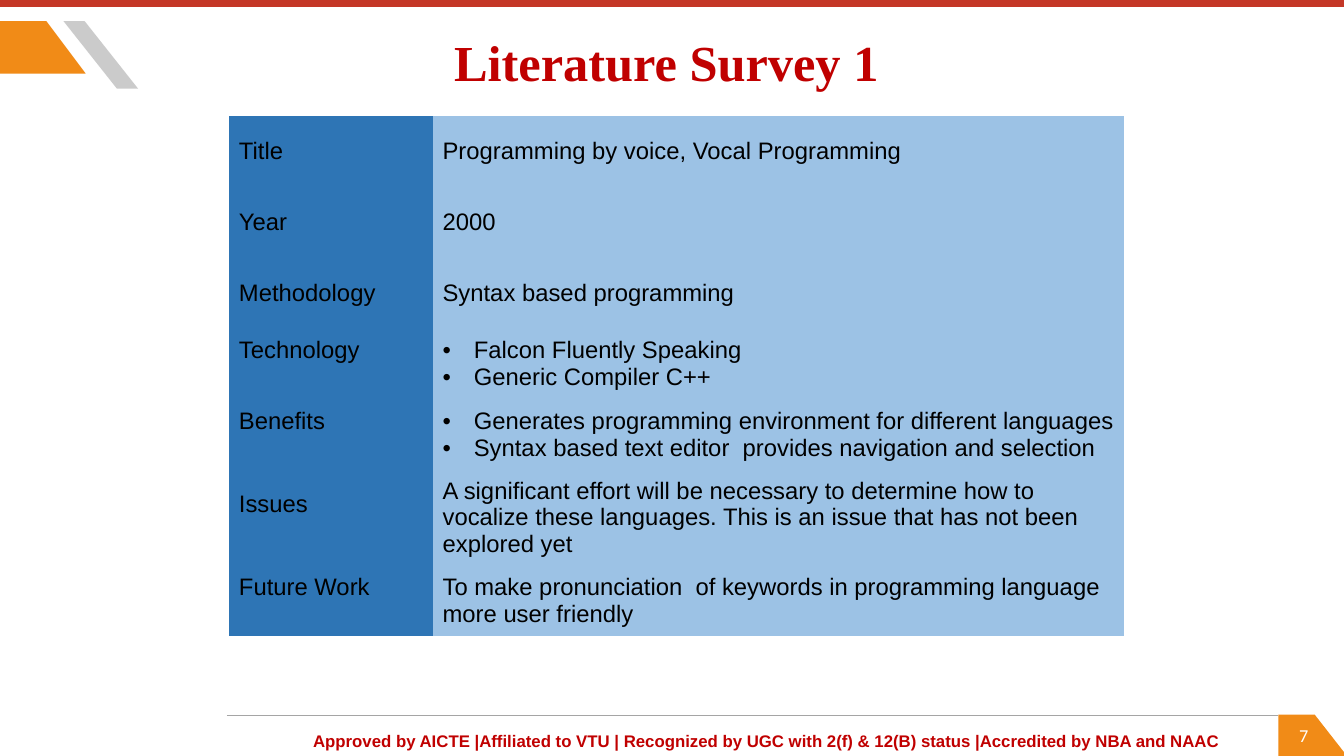
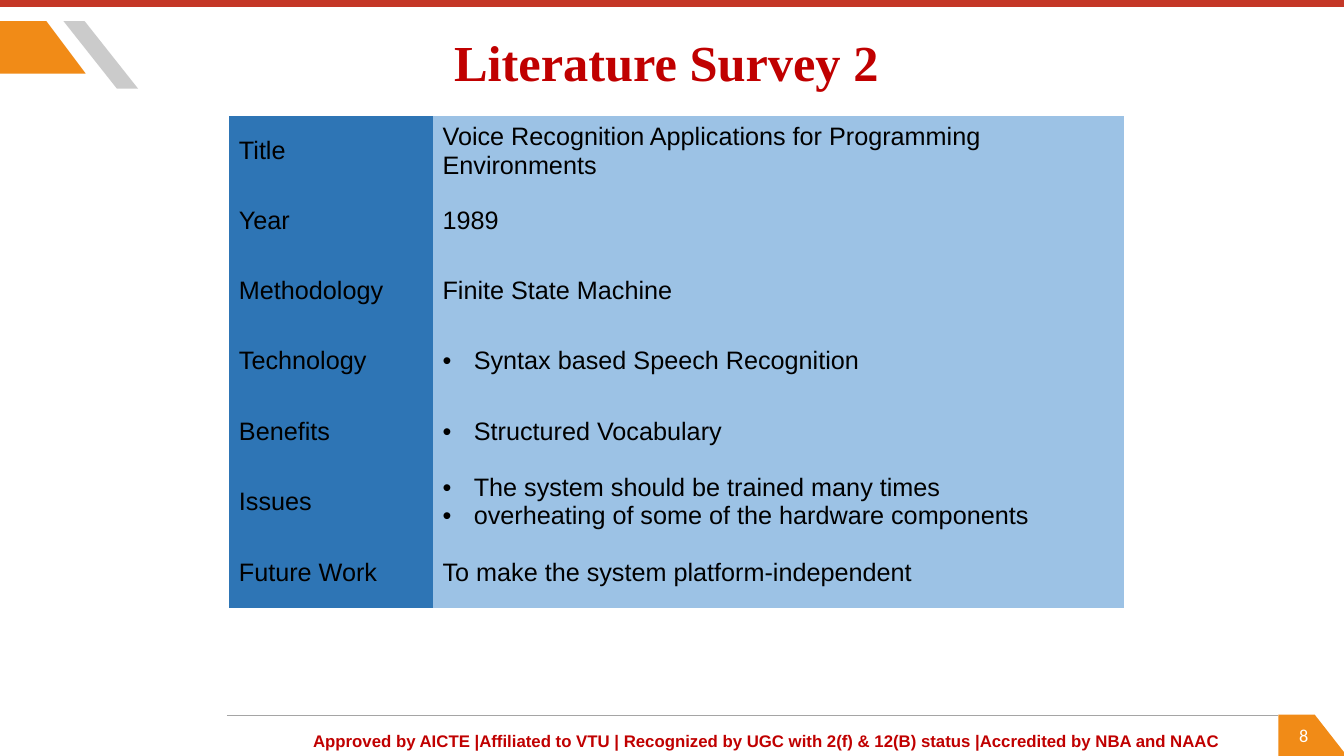
from lxml.etree import SubElement
from pptx import Presentation
from pptx.dml.color import RGBColor
from pptx.enum.shapes import MSO_CONNECTOR, MSO_SHAPE
from pptx.enum.text import MSO_ANCHOR, PP_ALIGN
from pptx.oxml import parse_xml
from pptx.oxml.ns import nsdecls, qn
from pptx.util import Pt

PX = 9144  # EMU per px, 100 px to the inch
WIDTH, HEIGHT = 1333, 750

COLORS = {
    "band": "C43727",
    "accent": "F18B17",
    "stripe": "7F7F7F",
    "rule": "A5A5A5",
    "heading": "C00000",
    "label": "2E75B5",
    "value": "9CC2E5",
    "body": "000000",
    "page": "FFFFFF",
}
FOOTER = ("Approved by AICTE |Affiliated to VTU | Recognized by UGC with "
          "2(f) & 12(B) status |Accredited by NBA and NAAC")
LABELS = ["Title", "Year", "Methodology", "Technology", "Benefits", "Issues",
          "Future Work"]

# Values follow LABELS; a list is shown as bullets.
# Labels in "raised" stand half a line above the middle of their row.
SURVEYS = [
    {
        "title": "Literature Survey 1", "page": 7, "size": 17,
        "rows": [70, 71, 70, 70, 70, 95, 70],
        "raised": LABELS[3:],
        "values": [
            "Programming by voice, Vocal Programming",
            "2000",
            "Syntax based programming",
            ["Falcon Fluently Speaking", "Generic Compiler C++"],
            ["Generates programming environment for different languages",
             "Syntax based text editor  provides navigation and selection"],
            "A significant effort will be necessary to determine how to "
            "vocalize these languages. This is an issue that has not been "
            "explored yet",
            "To make pronunciation  of keywords in programming language "
            "more user friendly",
        ],
    },
    {
        "title": "Literature Survey 2", "page": 8, "size": 18,
        "rows": [70, 68, 70, 70, 70, 70, 70],
        "raised": [],
        "values": [
            "Voice Recognition Applications for Programming Environments",
            "1989",
            "Finite State Machine",
            ["Syntax based Speech Recognition"],
            ["Structured Vocabulary"],
            ["The system should be trained many times",
             "overheating of some of the hardware components"],
            "To make the system platform-independent",
        ],
    },
]


def px(n):
    return n * PX


def rgb(name):
    return RGBColor.from_string(COLORS[name])


def write(p, text, size=18, font="Arial", color="body", bold=False,
          align=PP_ALIGN.LEFT, bullet=False):
    p.alignment = align
    r = p.add_run()
    r.text = text
    r.font.size = Pt(size)
    r.font.name = font
    r.font.bold = bold
    r.font.color.rgb = rgb(color)
    if bullet:
        pPr = p._p.get_or_add_pPr()
        pPr.set("marL", str(px(31)))
        pPr.set("indent", str(-px(31)))
        SubElement(pPr, qn("a:buFont"), typeface="Arial")
        SubElement(pPr, qn("a:buChar"), char="•")


def add_text(s, box, text, anchor=MSO_ANCHOR.TOP, **fmt):
    tf = s.shapes.add_textbox(*map(px, box)).text_frame
    tf.word_wrap = True
    tf.vertical_anchor = anchor
    write(tf.paragraphs[0], text, align=PP_ALIGN.CENTER, **fmt)


def paint(sp, color, opacity=100):
    sp.shadow.inherit = False
    sp.line.fill.background()
    sp.fill.solid()
    sp.fill.fore_color.rgb = rgb(color)
    if opacity < 100:
        clr = sp.fill._xPr.find(qn("a:solidFill"))[0]
        SubElement(clr, qn("a:alpha"), val=str(opacity * 1000))


def add_outline(s, points, color, opacity=100):
    builder = s.shapes.build_freeform(*points[0], scale=PX)
    builder.add_line_segments(points[1:], close=True)
    paint(builder.convert_to_shape(), color, opacity)


def add_frame(s, page):
    # Footer rule
    rule = s.shapes.add_connector(MSO_CONNECTOR.STRAIGHT,
                                  *map(px, (225, 710, 1268, 710)))
    rule.line.color.rgb = rgb("rule")
    rule.line.width = Pt(1)
    SubElement(rule._element.spPr, qn("a:effectLst"))

    # Top band and corner marks
    band = s.shapes.add_shape(MSO_SHAPE.RECTANGLE, 0, 0, px(WIDTH), px(7))
    paint(band, "band")
    add_outline(s, [(0, 21), (46, 21), (85, 73), (0, 73)], "accent")
    add_outline(s, [(63, 21), (84, 21), (137, 88), (116, 88)], "stripe", 40)

    # Page number and footer
    add_outline(s, [(1268, 709), (1304, 709), (1336, 750), (1268, 750)],
                "accent")
    add_text(s, (1271, 714, 44, 40), str(page), size=13, font="Calibri",
             color="page")
    add_text(s, (272, 720, 977, 30), FOOTER, anchor=MSO_ANCHOR.MIDDLE,
             size=12, color="heading", bold=True)


def fill_cell(cell, content, color, size):
    cell.fill.solid()
    cell.fill.fore_color.rgb = rgb(color)
    cell.vertical_anchor = MSO_ANCHOR.MIDDLE
    for i, side in enumerate(("lnL", "lnR", "lnT", "lnB")):
        border = f'<a:{side} {nsdecls("a")} w="0"><a:noFill/></a:{side}>'
        cell._tc.tcPr.insert(i, parse_xml(border))
    bullet = isinstance(content, list)
    tf = cell.text_frame
    for i, text in enumerate(content if bullet else [content]):
        p = tf.add_paragraph() if i else tf.paragraphs[0]
        write(p, text, size=size, bullet=bullet)


def add_survey_table(s, survey):
    widths, heights, size = (202, 686), survey["rows"], survey["size"]
    frame = s.shapes.add_table(
        len(heights), len(widths), px(227), px(115),
        px(sum(widths)), px(sum(heights)))
    table = frame.table
    table.first_row = table.horz_banding = False
    for column, width in zip(table.columns, widths):
        column.width = px(width)
    for i, (label, value) in enumerate(zip(LABELS, survey["values"])):
        table.rows[i].height = px(heights[i])
        fill_cell(table.cell(i, 0), label, "label", size)
        fill_cell(table.cell(i, 1), value, "value", size)
        if label in survey["raised"]:
            table.cell(i, 0).margin_bottom = px(32)


def main():
    prs = Presentation()
    prs.slide_width, prs.slide_height = px(WIDTH), px(HEIGHT)
    for survey in SURVEYS:
        s = prs.slides.add_slide(prs.slide_layouts[6])
        add_frame(s, survey["page"])
        add_text(s, (202, 26, 918, 71), survey["title"], size=36,
                 font="Times New Roman", color="heading", bold=True)
        add_survey_table(s, survey)
    prs.save("out.pptx")


if __name__ == "__main__":
    main()
